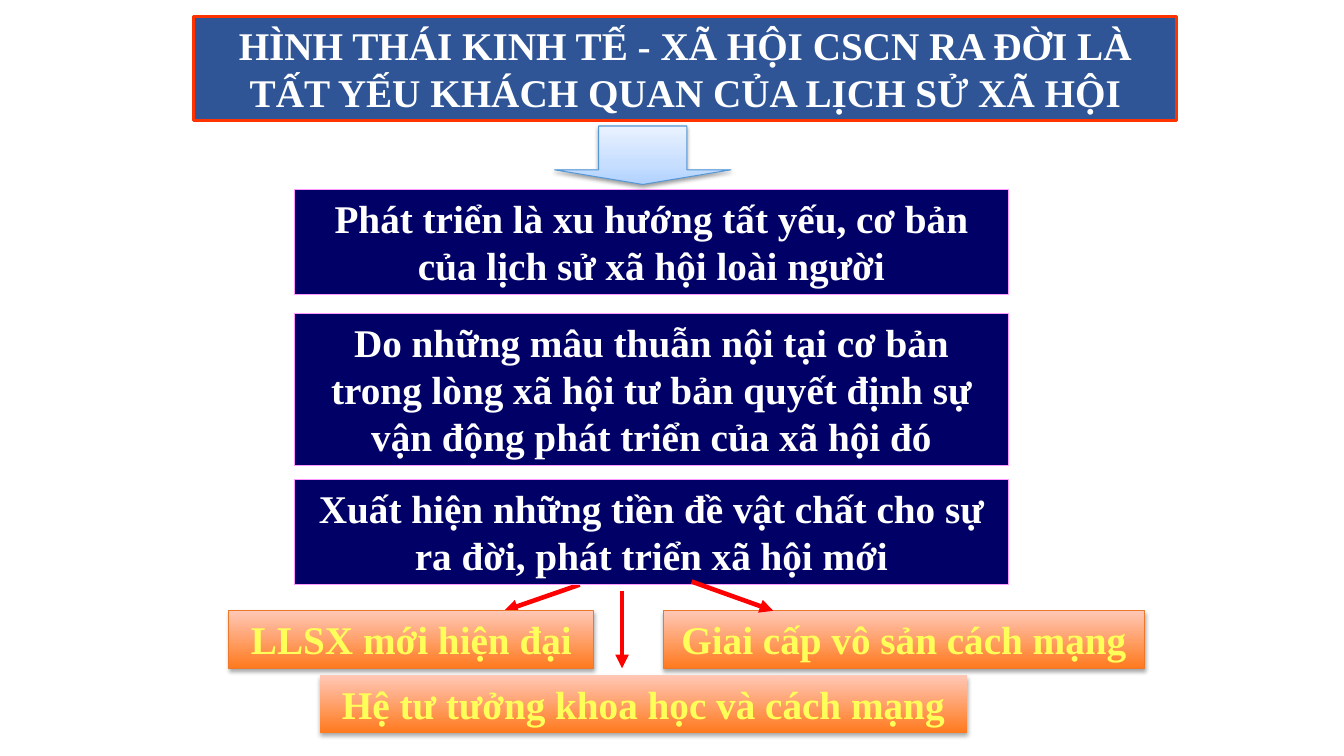
from lxml.etree import SubElement
from pptx import Presentation
from pptx.dml.color import RGBColor
from pptx.enum.shapes import MSO_CONNECTOR, MSO_SHAPE
from pptx.enum.text import MSO_ANCHOR, MSO_AUTO_SIZE, PP_ALIGN
from pptx.oxml.ns import qn
from pptx.util import Inches, Pt

COLORS = {
    "title": "2F5597", "title_line": "FF3300",
    "reason": "000066", "reason_line": "FF99FF",
    "premise_line": "EC792B", "block_line": "5698D3",
    "arrow": "FF0000", "white": "FFFFFF", "yellow": "FFFF59", "shadow": "000000",
}
PREMISE_STOPS = [(0, "FF7A1F"), (100, "FFC7B6")]
BLOCK_STOPS = [(0, "B0D2FF"), (35, "C7DEFF"), (100, "EAF2FF")]

TITLE = "HÌNH THÁI KINH TẾ - XÃ HỘI CSCN RA ĐỜI LÀ TẤT YẾU KHÁCH QUAN CỦA LỊCH SỬ XÃ HỘI"
REASONS = [
    ("Phát triển là xu hướng tất yếu, cơ bản của lịch sử xã hội loài người", 1.88, 1.04),
    ("Do những mâu thuẫn nội tại cơ bản trong lòng xã hội tư bản quyết định sự "
     "vận động phát triển của xã hội đó", 3.11, 1.51),
    ("Xuất hiện những tiền đề vật chất cho sự ra đời, phát triển xã hội mới", 4.76, 1.04),
]
PREMISES = [
    ("LLSX mới hiện đại", 2.27, 6.06, 3.62, "premise_line"),
    ("Giai cấp vô sản cách mạng", 6.58, 6.06, 4.77, "premise_line"),
    ("Hệ tư tưởng khoa học và cách mạng", 3.17, 6.7, 6.42, None),
]
LEFT_ARROW = (5.75, 5.8, 5, 6.06)
FRONT_ARROWS = [(6.86, 5.77, 7.67, 6.06), (6.17, 5.86, 6.17, 6.63)]


def rgb(name):
    return RGBColor.from_string(COLORS[name])


def add_block(kind, place, line, width=0.75):
    shape = slide.shapes.add_shape(kind, *map(Inches, place))
    shape.shadow.inherit = False
    if line:
        shape.line.color.rgb = rgb(line)
        shape.line.width = Pt(width)
    else:
        shape.line.fill.background()
    return shape


def fill_solid(shape, color):
    shape.fill.solid()
    shape.fill.fore_color.rgb = rgb(color)


def fill_gradient(shape, stops, opacity, distance):
    shape.fill.gradient()
    shape.fill.gradient_angle = 90
    properties = shape._element.spPr
    stop_list = properties.find(qn("a:gradFill")).find(qn("a:gsLst"))
    for stop in list(stop_list):
        stop_list.remove(stop)
    for position, color in stops:
        stop = SubElement(stop_list, qn("a:gs"), pos=str(position * 1000))
        SubElement(stop, qn("a:srgbClr"), val=color)
    shadow = SubElement(
        properties.find(qn("a:effectLst")), qn("a:outerShdw"),
        blurRad=str(Pt(3.1)), dist=str(Pt(distance)), dir="5400000", rotWithShape="0")
    color = SubElement(shadow, qn("a:srgbClr"), val=COLORS["shadow"])
    SubElement(color, qn("a:alpha"), val=str(opacity * 1000))


def write(shape, text, color):
    frame = shape.text_frame
    frame.text = text
    frame.word_wrap = True
    frame.auto_size = MSO_AUTO_SIZE.SHAPE_TO_FIT_TEXT
    frame.vertical_anchor = MSO_ANCHOR.TOP
    paragraph = frame.paragraphs[0]
    paragraph.alignment = PP_ALIGN.CENTER
    font = paragraph.runs[0].font
    font.name = "Times New Roman"
    font.size = Pt(28)
    font.bold = True
    font.color.rgb = rgb(color)


def add_arrow(ends):
    connector = slide.shapes.add_connector(MSO_CONNECTOR.STRAIGHT, *map(Inches, ends))
    connector.line.color.rgb = rgb("arrow")
    connector.line.width = Pt(3.25)
    SubElement(connector.line._get_or_add_ln(), qn("a:tailEnd"), type="triangle")
    SubElement(connector._element.spPr, qn("a:effectLst"))


presentation = Presentation()
presentation.slide_width = Inches(13.33)
presentation.slide_height = Inches(7.5)
slide = presentation.slides.add_slide(presentation.slide_layouts[6])

add_arrow(LEFT_ARROW)

for text, top, height in REASONS:
    reason = add_block(MSO_SHAPE.RECTANGLE, (2.92, top, 7.08, height), "reason_line")
    fill_solid(reason, "reason")
    write(reason, text, "white")

block_arrow = add_block(MSO_SHAPE.DOWN_ARROW, (5.5, 1.25, 1.75, 0.58), "block_line")
block_arrow.adjustments[0] = 0.5
block_arrow.adjustments[1] = 0.25
fill_gradient(block_arrow, BLOCK_STOPS, 38, 1.6)

title = add_block(MSO_SHAPE.RECTANGLE, (1.92, 0.16, 9.75, 1.04), "title_line", 2.25)
fill_solid(title, "title")
write(title, TITLE, "white")

for text, left, top, width, line in PREMISES:
    premise = add_block(MSO_SHAPE.RECTANGLE, (left, top, width, 0.57), line)
    fill_gradient(premise, PREMISE_STOPS, 35, 1.8)
    write(premise, text, "yellow")

for ends in FRONT_ARROWS:
    add_arrow(ends)

presentation.save("out.pptx")
